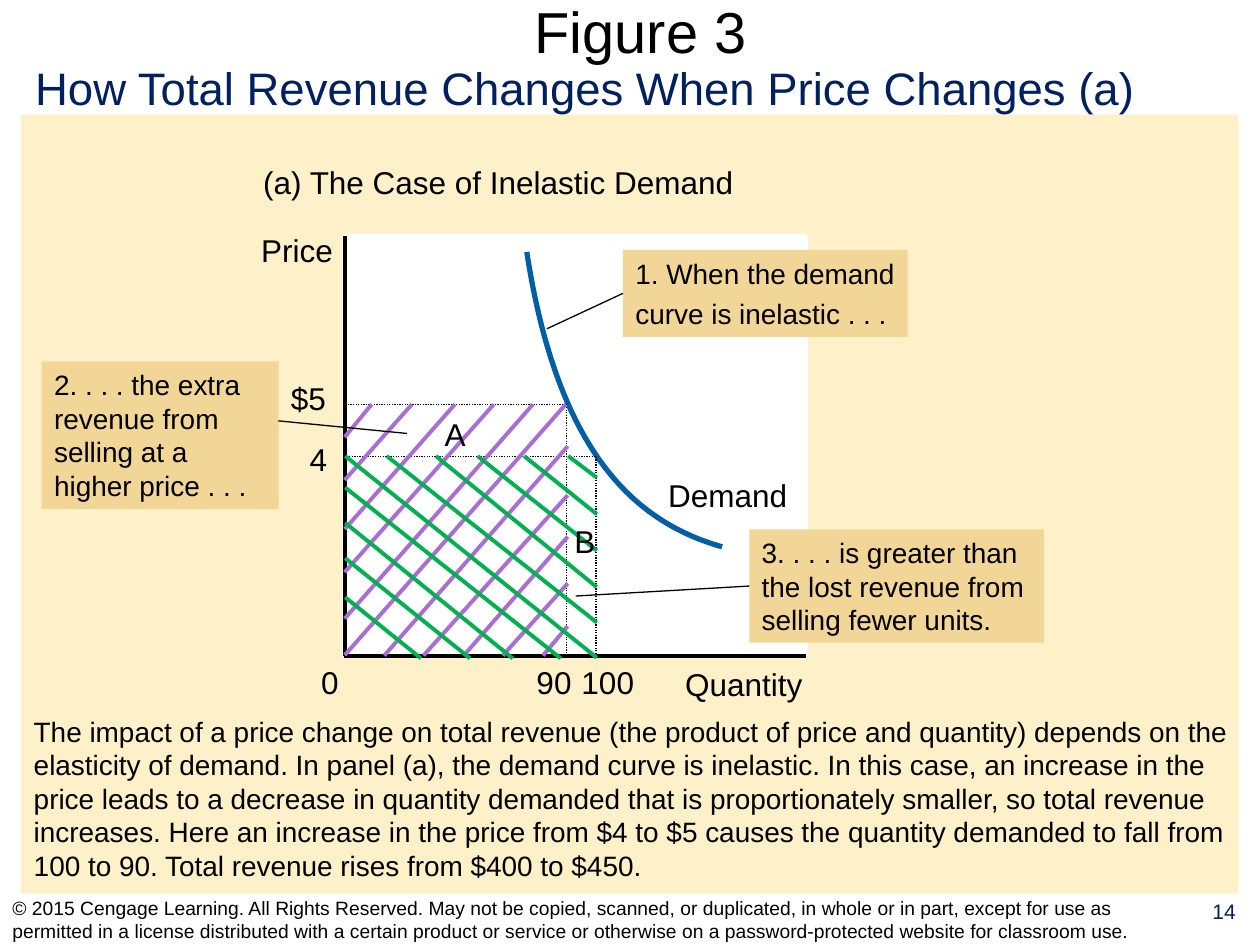
from pptx import Presentation
from pptx.dml.color import RGBColor
from pptx.enum.dml import MSO_LINE as Dash
from pptx.enum.shapes import MSO_CONNECTOR as Conn, MSO_SHAPE as Kind
from pptx.enum.text import MSO_ANCHOR as Anchor, PP_ALIGN as Align
from pptx.oxml.ns import qn
from pptx.util import Pt
from lxml.etree import SubElement

BLACK = RGBColor(0, 0, 0)
WHITE = RGBColor(255, 255, 255)
NAVY = RGBColor(0x00, 0x20, 0x60)
BLUE = RGBColor(0x00, 0x5E, 0xA4)
CREAM = RGBColor(0xFE, 0xF0, 0xC8)
TAN = RGBColor(0xF2, 0xD6, 0x98)
PURPLE = RGBColor(0xA8, 0x6E, 0xD4)
GREEN = RGBColor(0x00, 0xB0, 0x50)

prs = Presentation()
prs.slide_width, prs.slide_height = Pt(720), Pt(540)
slide = prs.slides.add_slide(prs.slide_layouts[6])
shapes = slide.shapes


def write(text, x, y, w, h, size=18, color=BLACK, align=Align.LEFT,
          anchor=Anchor.TOP, wrap=False, fill=None):
    area = [Pt(v) for v in (x, y, w, h)]
    if fill is None:
        box = shapes.add_textbox(*area)
    else:
        box = shapes.add_shape(Kind.RECTANGLE, *area)
        box.shadow.inherit = False
        box.fill.solid()
        box.fill.fore_color.rgb = fill
        box.line.fill.background()
    frame = box.text_frame
    frame.word_wrap = wrap
    frame.vertical_anchor = anchor
    frame.text = text
    for i, para in enumerate(frame.paragraphs):
        para.alignment = align
        if i:
            para.space_before = Pt(4)
        para.font.name = "Arial"
        para.font.size = Pt(size)
        para.font.color.rgb = color
    return box


def draw(x1, y1, x2, y2, color=BLACK, width=0.75, dash=None):
    line = shapes.add_connector(Conn.STRAIGHT, Pt(x1), Pt(y1), Pt(x2), Pt(y2))
    line.line.color.rgb = color
    line.line.width = Pt(width)
    if dash:
        line.line.dash_style = dash
    SubElement(line._element.spPr, qn("a:effectLst"))
    return line


for x, y, w, h, color in [(11.8, 65.5, 696, 445, CREAM), (196.6, 134.6, 264.2, 239.8, WHITE)]:
    panel = shapes.add_shape(Kind.RECTANGLE, Pt(x), Pt(y), Pt(w), Pt(h))
    panel.shadow.inherit = False
    panel.fill.solid()
    panel.fill.fore_color.rgb = color
    panel.line.fill.background()
panel.line.color.rgb = WHITE
panel.line.width = Pt(2)

title = write("Figure 3", 25.2, 0, 681.8, 35.3, 33, align=Align.CENTER, anchor=Anchor.MIDDLE, wrap=True)
frame = title.text_frame
frame.margin_left = frame.margin_right = frame.margin_top = frame.margin_bottom = 0
write("14", 679, 509.8, 41, 29.5, 12, NAVY, Align.CENTER, wrap=True)
write("© 2015 Cengage Learning. All Rights Reserved. May not be copied, scanned, or duplicated, "
      "in whole or in part, except for use as permitted in a license distributed with a certain "
      "product or service or otherwise on a password-protected website for classroom use.",
      0, 511.2, 678.2, 28.8, 11, anchor=Anchor.MIDDLE, wrap=True)
write("How Total Revenue Changes When Price Changes (a)", 13, 30.6, 648, 38.9, 26, NAVY)
write("The impact of a price change on total revenue (the product of price and quantity) depends "
      "on the elasticity of demand. In panel (a), the demand curve is inelastic. In this case, an "
      "increase in the price leads to a decrease in quantity demanded that is proportionately "
      "smaller, so total revenue increases. Here an increase in the price from $4 to $5 causes "
      "the quantity demanded to fall from 100 to 90. Total revenue rises from $400 to $450.",
      12.2, 404.6, 697.7, 103.7, 16, wrap=True)

for text, x, y, w in [
    ("(a) The Case of Inelastic Demand", 143.3, 89.6, 340),
    ("Price", 142.2, 128.2, 62),
    ("Demand", 374.8, 268.6, 89),
    ("Quantity", 384.5, 376.6, 88),
    ("0", 176.4, 375.1, 26),
    ("90", 299.5, 375.1, 36),
    ("100", 325.2, 375.1, 48),
    ("4", 169.9, 247.7, 26),
    ("$5", 159.1, 213.1, 36),
]:
    write(text, x, y, w, 28.8)

draw(197.3, 134.6, 197.3, 375.1, width=2.25)
draw(196.6, 375.1, 460.8, 375.1, width=2.25)

ends = [(301, 144), (319, 260.6), (364.3, 298.8), (412.6, 312.5)]
steps = 40
curve = []
for i in range(steps + 1):
    t = i / steps
    mix = [(1 - t) ** 3, 3 * t * (1 - t) ** 2, 3 * t * t * (1 - t), t ** 3]
    curve.append([Pt(sum(m * p[k] for m, p in zip(mix, ends))) for k in (0, 1)])
path = shapes.build_freeform(*curve[0], scale=1.0)
path.add_line_segments(curve[1:], close=False)
demand = path.convert_to_shape()
demand.shadow.inherit = False
demand.fill.background()
demand.line.color.rgb = BLUE
demand.line.width = Pt(3)

for guide in [(340.6, 261, 340.6, 375.1), (323.6, 231.1, 323.6, 375.1),
              (196.6, 261, 340.6, 261), (197.3, 231.1, 323.6, 231.1)]:
    draw(*guide, dash=Dash.ROUND_DOT)

for x, y in zip([212.4, 235.4, 260, 282.2, 304.6, 323.3], [249.8, 274.3, 302.4, 327, 353.5, 374.4]):
    draw(x, 231, 197, y, PURPLE, 2.25)
for y, x in zip([255, 283, 306.7, 333.4, 357.8], [219.6, 242, 265, 287.3, 310.3]):
    draw(324.4, y, x, 374.6, PURPLE, 2.25)
write("A", 247, 233.6, 25.9, 28.8, align=Align.CENTER)

for x, y in zip([197.3, 221, 249.1, 272.9, 299.5, 324.7], [375.8, 355.7, 335.5, 314.6, 293.8, 272.9]):
    draw(x, 260.6, 341, y, GREEN, 2.25)
for y, x in zip([341.3, 319, 298.8, 278.6], [240.5, 268.6, 293, 320.4]):
    draw(197.3, y, x, 376.2, GREEN, 2.25)
write("B", 321.1, 294.5, 25.9, 28.8, align=Align.CENTER)

cause = write("1. When the demand\ncurve is inelastic . . .", 356, 142.8, 162.7, 49.7, 16, fill=TAN)
loss = write("3. . . . is greater than the lost revenue from selling fewer units.",
             428.2, 302.5, 168.5, 64.8, 16, wrap=True, fill=TAN)
write("2. . . . the extra revenue from selling at a higher price . . .",
      23.8, 206.6, 135.4, 84.2, 16, wrap=True, fill=TAN)
draw(312.5, 187.9, 356, 167.6).end_connect(cause, 1)
draw(329, 340.6, 428.2, 334.9).end_connect(loss, 1)
draw(232.6, 247.7, 159.1, 240.5)

prs.save("out.pptx")
